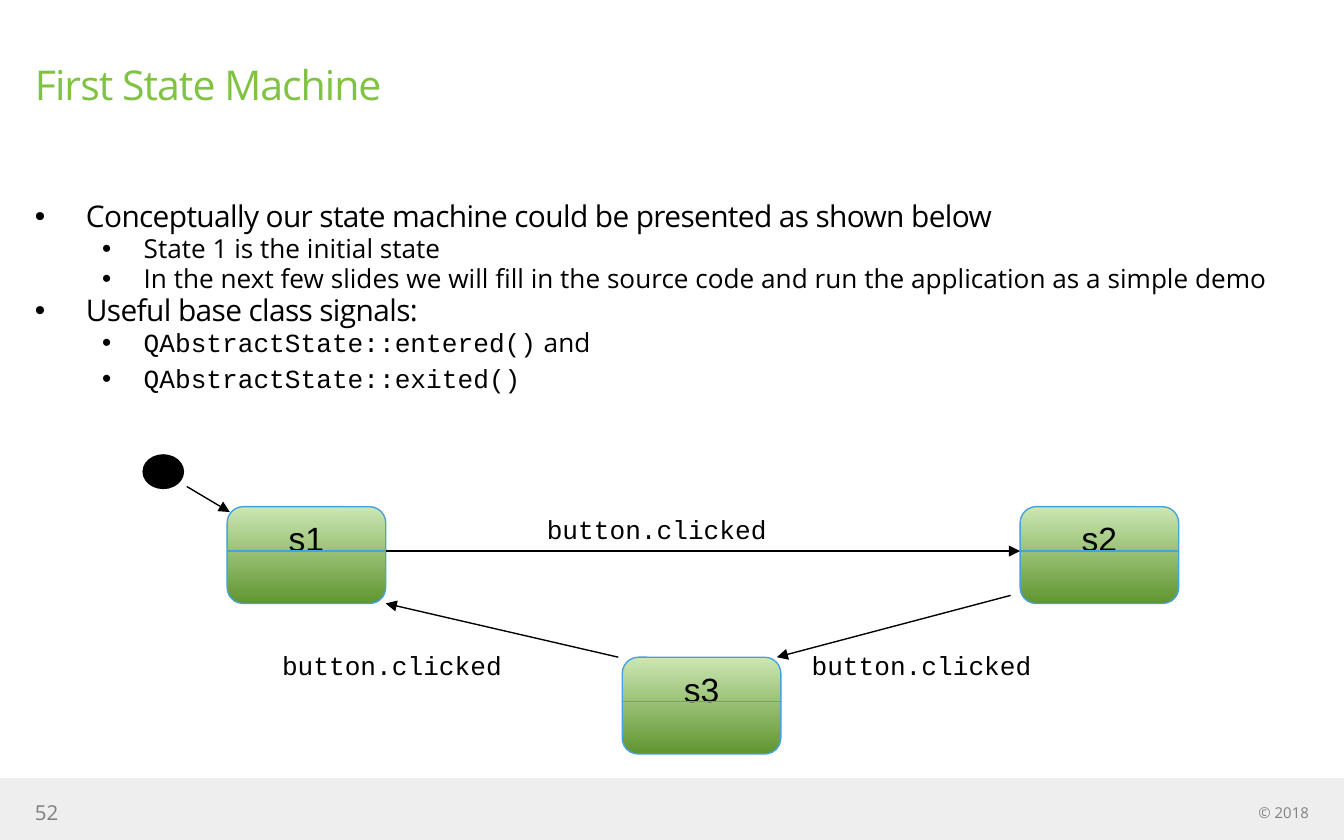
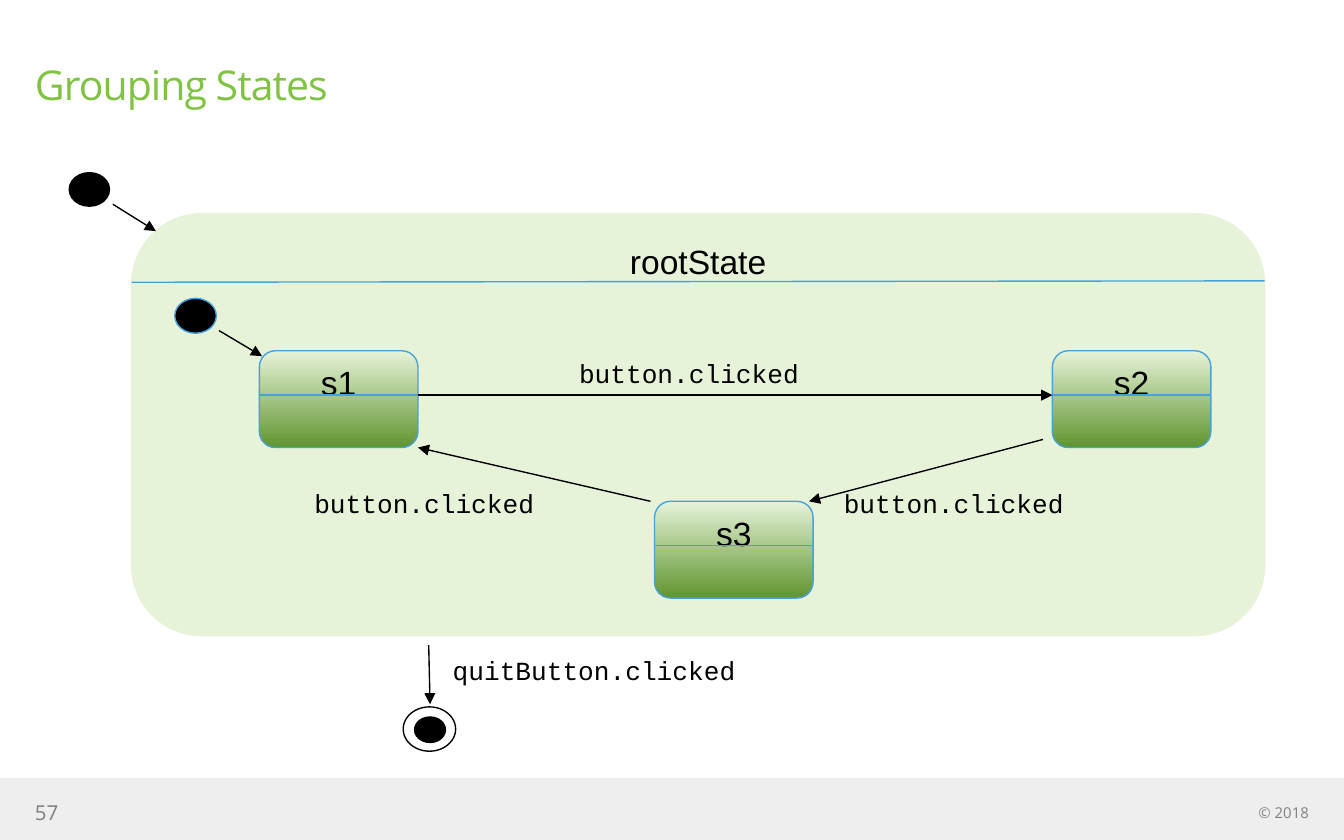
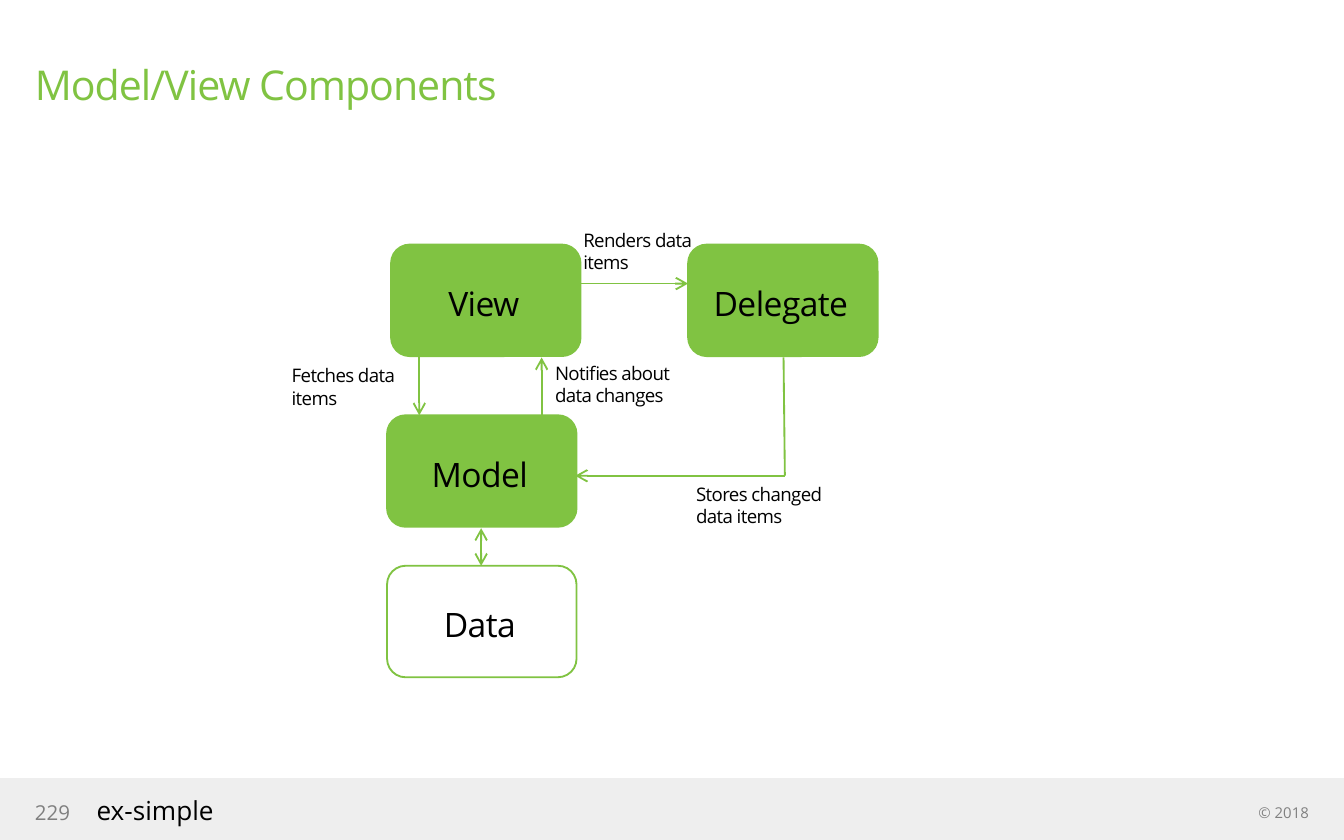
import pptx
import pptx.util
from lxml import etree
from pptx.dml.color import RGBColor
from pptx.enum.dml import MSO_LINE
from pptx.enum.shapes import MSO_CONNECTOR, MSO_SHAPE
from pptx.enum.text import MSO_ANCHOR, MSO_AUTO_SIZE, PP_ALIGN
from pptx.oxml.ns import qn

PX = 9144  # 100 px to the inch

# Colours in "color", text styles in "text"
THEME = {
    "color": {
        "green": "80C342", "pale": "E6F3D9", "light": "CCE7B3", "dark": "60952F",
        "blue": "46A2DA", "black": "000000", "band": "EEEEEE",
    },
    "text": {
        "title": {"font": "Open Sans", "size": 22, "color": "80C342", "spacing": -50},
        "number": {"font": "Open Sans", "size": 11, "color": "7F7F7F", "anchor": MSO_ANCHOR.MIDDLE},
        "copyright": {"font": "Open Sans", "size": 8, "color": "808080",
                      "anchor": MSO_ANCHOR.MIDDLE, "align": PP_ALIGN.RIGHT},
        "bullet": {"font": "Open Sans", "size": 16, "color": "000000", "spacing": -30},
        "subbullet": {"font": "Open Sans", "size": 14, "color": "000000"},
        "code": {"font": "Courier New", "size": 14, "color": "000000", "margins": (10, 5, 10, 5)},
        "example": {"font": "Open Sans", "size": 14, "color": "000000",
                    "margins": (10, 5, 10, 5), "leading": 0.5},
        "state": {"font": "Arial", "size": 18, "color": "000000", "margins": (10, 5, 10, 5),
                  "align": PP_ALIGN.CENTER, "wrap": False},
        "component": {"font": "Open Sans", "size": 18, "color": "000000", "spacing": -30,
                      "margins": (0, 0, 3, 0), "anchor": MSO_ANCHOR.MIDDLE,
                      "align": PP_ALIGN.CENTER, "leading": pptx.util.Pt(24.6)},
        "note": {"font": "Open Sans", "size": 10, "color": "000000", "spacing": -30},
    },
}
COLOR = THEME["color"]


def add_span(para, text, style):
    look = THEME["text"][style]
    span = para.add_run()
    span.text = text
    for name, value in {"name": look["font"], "size": pptx.util.Pt(look["size"])}.items():
        setattr(span.font, name, value)
    span.font.color.rgb = RGBColor.from_string(look["color"])
    if "spacing" in look:
        span.font._element.set("spc", str(look["spacing"]))


def write_text(frame, text, style):
    look = THEME["text"][style]
    left, top, right, bottom = [edge * PX for edge in look.get("margins", (0, 0, 0, 0))]
    frame_format = {
        "margin_left": left, "margin_top": top, "margin_right": right, "margin_bottom": bottom,
        "auto_size": MSO_AUTO_SIZE.NONE, "word_wrap": look.get("wrap", True),
        "vertical_anchor": look.get("anchor", MSO_ANCHOR.TOP),
    }
    for name, value in frame_format.items():
        setattr(frame, name, value)
    para = frame.paragraphs[0]
    para.alignment = look.get("align", PP_ALIGN.LEFT)
    if "leading" in look:
        para.line_spacing = look["leading"]
    if text:
        add_span(para, text, style)


deck = pptx.Presentation()
deck.slide_width, deck.slide_height = 1000 * PX, 625 * PX

# What is drawn on the pages, gathered here and drawn below
shapes = []  # page, kind, box, fill, line colour, line width, text, text style
lines = []   # page, ends, colour, width, head, tail
texts = []   # page, box, text, style

# Pages with title, band and footer
pages = []
for title, number in (("First State Machine", "52"), ("Grouping States", "57"),
                      ("Model/View Components", "229")):
    page = deck.slides.add_slide(deck.slide_layouts[5])
    pages.append(page)
    heading = page.shapes.title
    for name, value in {"left": 26, "top": 44, "width": 675, "height": 85}.items():
        setattr(heading, name, value * PX)
    write_text(heading.text_frame, title, "title")
    shapes.append((page, MSO_SHAPE.RECTANGLE, (0, 579, 1000, 46), COLOR["band"], None, 0, "", ""))
    texts.append((page, (26, 595, 247, 19), number, "number"))
    texts.append((page, (792, 598, 182, 13), "© 2018", "copyright"))
machine_page, group_page, model_page = pages

# First State Machine: bullets
bullets = (  # level, space before, spans
    (0, 0, [("Conceptually our state machine could be presented as shown below", "bullet")]),
    (1, 1, [("State 1 is the initial state", "subbullet")]),
    (1, 1, [("In the next few slides we will fill in the source code and run the application "
             "as a simple demo", "subbullet")]),
    (0, 1, [("Useful base class signals:", "bullet")]),
    (1, 1, [("QAbstractState::entered()", "code"), (" and", "subbullet")]),
    (1, 4, [("QAbstractState::exited()", "code")]),
)
body = machine_page.shapes.add_textbox(*[v * PX for v in (26, 150, 954, 174)]).text_frame
write_text(body, "", "bullet")
for index, (level, before, spans) in enumerate(bullets):
    para = body.add_paragraph() if index else body.paragraphs[0]
    margin, hanging = ((38, 38), (81, 31))[level]
    properties = para._p.get_or_add_pPr()
    properties.set("marL", str(margin * PX))
    properties.set("indent", str(-hanging * PX))
    etree.SubElement(properties, qn("a:buFont"), typeface="Arial")
    etree.SubElement(properties, qn("a:buChar"), char="•")
    for name, value in {"level": level, "line_spacing": 0.9,
                        "space_before": pptx.util.Pt(before)}.items():
        setattr(para, name, value)
    for text, style in spans:
        add_span(para, text, style)

# Grouping States: root state around the machine, entry and exit
shapes += [
    (group_page, MSO_SHAPE.ROUNDED_RECTANGLE, (98, 159, 843, 314), COLOR["pale"], COLOR["pale"],
     0.75, "rootState", "state"),
    (group_page, MSO_SHAPE.OVAL, (51, 128, 31, 26), COLOR["black"], None, 0, "", ""),
    (group_page, MSO_SHAPE.OVAL, (308, 533, 24, 20), COLOR["black"], None, 0, "", ""),
    (group_page, MSO_SHAPE.OVAL, (300, 526, 39, 33), None, COLOR["black"], 0.75, "", ""),
]
lines += [
    (group_page, (98, 210, 941, 209), COLOR["blue"], 0.75, None, None),
    (group_page, (84, 152, 116, 172), COLOR["black"], 0.75, None, "triangle"),
    (group_page, (319, 480, 320, 524), COLOR["black"], 0.75, None, "triangle"),
]
texts.append((group_page, (327, 482, 378, 34), "quitButton.clicked", "code"))

# The machine of three states, on both state pages
for page, left, top, tint, dot_line, label_drop in (
        (machine_page, 169, 377, COLOR["light"], None, 101),
        (group_page, 193, 261, COLOR["pale"], COLOR["blue"], 97)):
    for name, x, y in (("s1", 0, 0), ("s3", 294, 112), ("s2", 590, 0)):
        shapes.append((page, MSO_SHAPE.ROUNDED_RECTANGLE, (left + x, top + y, 118, 72),
                       (tint, COLOR["dark"]), COLOR["blue"], 0.75, name, "state"))
        divider = (left + x, top + y + 33, left + x + 118, top + y + 33)
        lines.append((page, divider, COLOR["blue"], 0.75, None, None))
    shapes.append((page, MSO_SHAPE.OVAL, (left - 63, top - 39, 31, 26), COLOR["black"],
                   dot_line, 0.75, "", ""))
    for x1, y1, x2, y2 in ((-30, -15, 2, 4), (118, 33, 590, 33),
                           (583, 66, 409, 112), (291, 112, 118, 72)):
        lines.append((page, (left + x1, top + y1, left + x2, top + y2), COLOR["black"], 0.75,
                      None, "triangle"))
    for x, y in ((228, 0), (425, label_drop), (31, label_drop)):
        texts.append((page, (left + x, top + y, 252, 34), "button.clicked", "code"))

# Model/View Components
for name, x, y, fill in (("Model", 288, 309, COLOR["green"]), ("Data", 288, 421, None),
                         ("View", 291, 182, COLOR["green"]),
                         ("Delegate", 512, 182, COLOR["green"])):
    shapes.append((model_page, MSO_SHAPE.ROUNDED_RECTANGLE, (x, y, 141, 83), fill,
                   COLOR["green"], 1, name, "component"))
for ends, head, tail in (
        ((358, 393, 358, 421), "arrow", "arrow"), ((312, 266, 312, 309), None, "arrow"),
        ((403, 309, 403, 266), None, "arrow"), ((432, 211, 512, 211), None, "arrow"),
        ((584, 354, 428, 354), None, "arrow"), ((583, 266, 584, 354), None, None)):
    lines.append((model_page, ends, COLOR["green"], 1, head, tail))
for text, x, y, width in (("Fetches data items", 217, 271, 85),
                          ("Notifies about data changes", 413, 269, 113),
                          ("Renders data items", 434, 170, 113),
                          ("Stores changed data items", 518, 359, 113)):
    texts.append((model_page, (x, y, width, 34), text, "note"))
texts.append((model_page, (62, 596, 468, 24), "ex-simple", "example"))

# Draw the shapes
for page, kind, box, fill, line_color, line_width, text, style in shapes:
    shape = page.shapes.add_shape(kind, *[v * PX for v in box])
    shape.shadow.inherit = False
    if fill is None:
        shape.fill.background()
    elif isinstance(fill, tuple):
        shape.fill.gradient()
        shape.fill.gradient_angle = 270
        for stop, color in zip(shape.fill.gradient_stops, fill):
            stop.color.rgb = RGBColor.from_string(color)
    else:
        shape.fill.solid()
        shape.fill.fore_color.rgb = RGBColor.from_string(fill)
    if line_color:
        shape.line.color.rgb = RGBColor.from_string(line_color)
        shape.line.width = pptx.util.Pt(line_width)
    else:
        shape.line.fill.background()
    if text:
        write_text(shape.text_frame, text, style)

# Draw the lines and arrows
for page, ends, color, width, head, tail in lines:
    line = page.shapes.add_connector(MSO_CONNECTOR.STRAIGHT, *[v * PX for v in ends])
    line.line.color.rgb = RGBColor.from_string(color)
    line.line.width = pptx.util.Pt(width)
    line.line.dash_style = MSO_LINE.SOLID
    outline = line.element.spPr.find(qn("a:ln"))
    for tag, arrow in (("a:headEnd", head), ("a:tailEnd", tail)):
        if arrow:
            etree.SubElement(outline, qn(tag), type=arrow)
    etree.SubElement(line.element.spPr, qn("a:effectLst"))

# Draw the free text
for page, box, text, style in texts:
    frame = page.shapes.add_textbox(*[v * PX for v in box]).text_frame
    write_text(frame, text, style)

deck.save("out.pptx")
